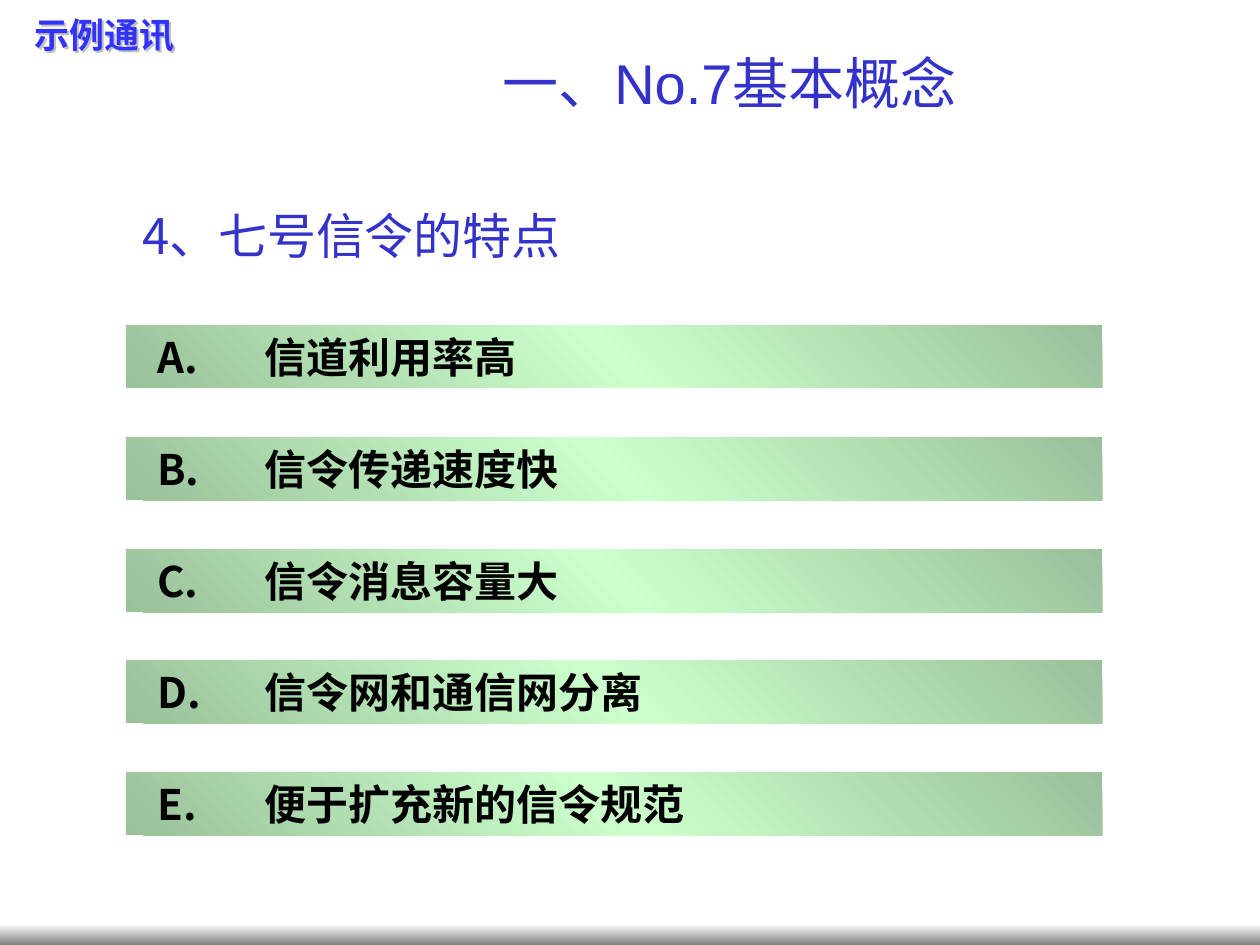
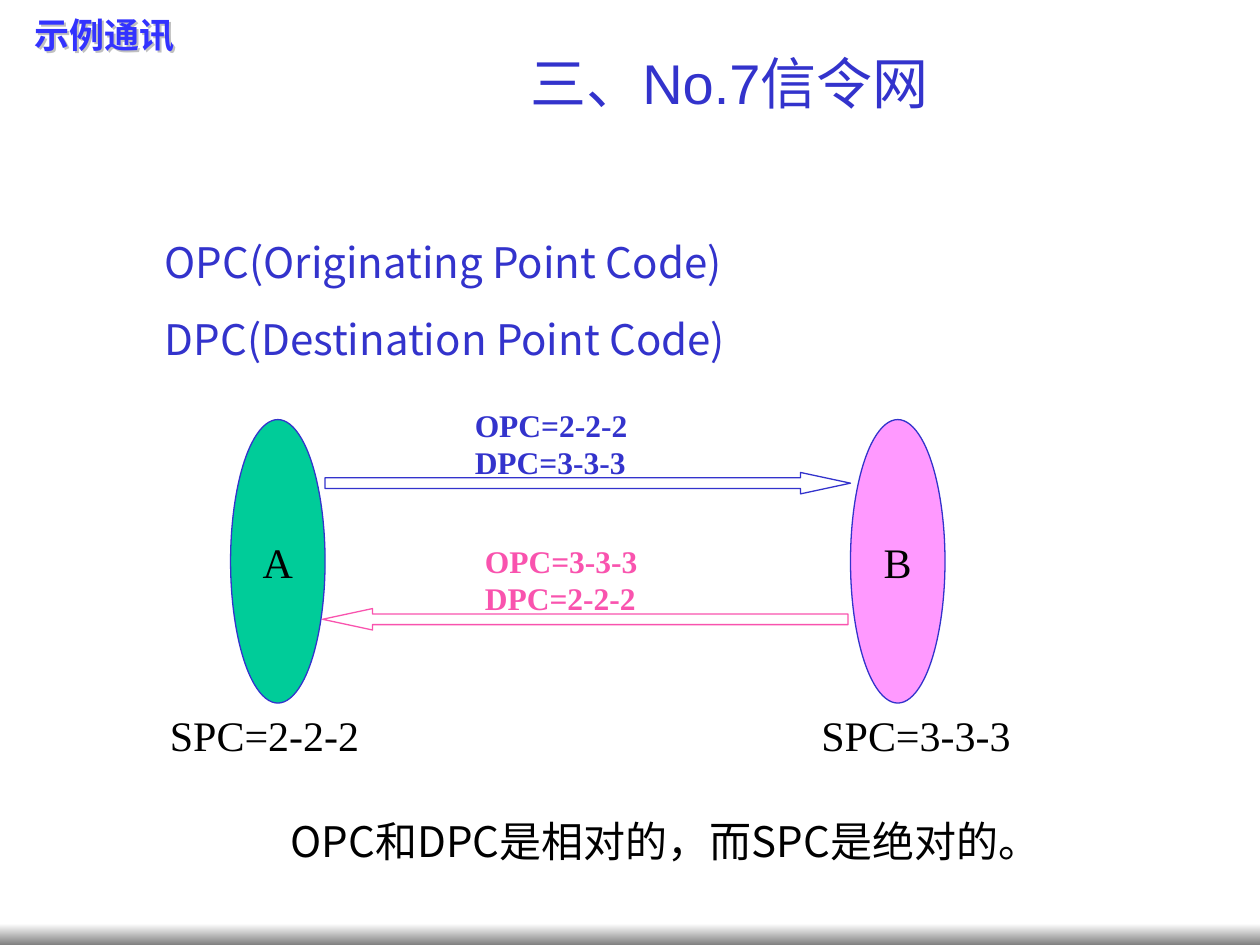
from lxml import etree
from pptx import Presentation, oxml, util as u
from pptx.dml.color import RGBColor
from pptx.enum import shapes, text
from pptx.oxml.ns import qn

PX = 9144  # 100 px to the inch
BLUE = RGBColor(0x33, 0x33, 0xCC)
BRAND = RGBColor(0x33, 0x33, 0xFF)
PINK = RGBColor(0xF9, 0x53, 0xAE)
ROSE = RGBColor(0xFF, 0x99, 0xFF)
TEAL = RGBColor(0x00, 0xCC, 0x99)
BLACK = RGBColor(0, 0, 0)
WHITE = RGBColor(0xFF, 0xFF, 0xFF)
GREY = RGBColor(0x80, 0x80, 0x80)
SILVER = RGBColor(0xC0, 0xC0, 0xC0)
SAGE = RGBColor(0x9A, 0xC1, 0x9A)
MINT = RGBColor(0xCC, 0xFF, 0xCC)
SANS, SERIF, ARIAL = "Noto Sans CJK SC", "Times New Roman", "Arial"
KIND = shapes.MSO_SHAPE
LEFT, MID = text.PP_ALIGN.LEFT, text.PP_ALIGN.CENTER
NS = "http://schemas.openxmlformats.org/drawingml/2006/main"


def emu(*box):
    return [u.Emu(n * PX) for n in box]


def write(shape, lines, size, face, color, bold=False, align=LEFT,
          gap=0, left=0, hang=0, wrap=True, mid=False):
    """Fill a shape with lines of one style."""
    frame = shape.text_frame
    frame.word_wrap = wrap
    anchor = text.MSO_ANCHOR
    frame.vertical_anchor = anchor.MIDDLE if mid else anchor.TOP
    for i, line in enumerate(lines):
        para = frame.paragraphs[0] if i == 0 else frame.add_paragraph()
        run = para.add_run()
        run.text = line
        para.alignment = align
        para.space_before = u.Pt(gap if i else 0)
        props = para._p.get_or_add_pPr()
        props.set("marL", str(left * PX))
        props.set("indent", str(-hang * PX))
        font = para.font
        font.size, font.name, font.bold = u.Pt(size), face, bold
        font.color.rgb = color
        # East Asian glyphs always use the sans face
        etree.SubElement(font._element, qn("a:ea")).set("typeface", SANS)


def label(slide, box, lines, *style, **more):
    shape = slide.shapes.add_textbox(*emu(*box))
    write(shape, lines, *style, **more)
    return shape


def draw(slide, kind, box, fill=None, line=None):
    shape = slide.shapes.add_shape(kind, *emu(*box))
    shape.shadow.inherit = False
    if fill is None:
        shape.fill.background()
    else:
        shape.fill.solid()
        shape.fill.fore_color.rgb = fill
    if line is None:
        shape.line.fill.background()
    else:
        shape.line.color.rgb = line
        shape.line.width = u.Pt(0.75)
    return shape


def blend(shape, colors, angle):
    """Give a shape evenly spaced gradient stops."""
    last = len(colors) - 1
    stops = "".join(
        f'<a:gs pos="{100000 * i // last}"><a:srgbClr val="{c}"/></a:gs>'
        for i, c in enumerate(colors))
    grad = oxml.parse_xml(
        f'<a:gradFill xmlns:a="{NS}" rotWithShape="1"><a:gsLst>{stops}'
        f'</a:gsLst><a:lin ang="{angle * 60000}" scaled="0"/></a:gradFill>')
    old = shape._element.spPr.find(qn("a:solidFill"))
    old.getparent().replace(old, grad)


def base(deck, title):
    """Start a slide with the bottom band, company name and title."""
    slide = deck.slides.add_slide(deck.slide_layouts[6])
    band = draw(slide, KIND.RECTANGLE, (0, 733, 1000, 17), WHITE)
    blend(band, [WHITE, GREY], 90)
    name = label(slide, (4, 6, 158, 44), ["示例通讯"], 20, SERIF, BRAND,
                 bold=True, align=MID)
    # With no fill, the box casts the shadow of its letters
    name._element.spPr.append(oxml.parse_xml(
        f'<a:effectLst xmlns:a="{NS}"><a:outerShdw dist="17961" dir="2700000">'
        f'<a:srgbClr val="{SILVER}"/></a:outerShdw></a:effectLst>'))
    label(slide, (200, 33, 758, 64), [title], 32, ARIAL, BLUE,
          align=MID, mid=True)
    return slide


def bars(slide, box, items):
    """Stack lettered bars evenly within the box."""
    x, y, w, h = box
    tall = 50
    step = (h - tall) / (len(items) - 1)
    for i, item in enumerate(items):
        bar = draw(slide, KIND.RECTANGLE, (x, y + round(i * step), w, tall),
                   SAGE)
        blend(bar, [SAGE, MINT, SAGE], 135)
        write(bar, [f"{'ABCDE'[i]}.\t{item}"], 24, SANS, BLACK, bold=True,
              left=100, hang=85, mid=True)


def node(slide, box, name, fill):
    oval = draw(slide, KIND.OVAL, box, fill, BLUE)
    write(oval, [name], 24, SERIF, BLACK, align=MID, wrap=False, mid=True)


def arrow(slide, box, color, turn=0):
    shape = draw(slide, KIND.RIGHT_ARROW, box, line=color)
    shape.adjustments[0], shape.adjustments[1] = 0.5, 2.33
    shape.rotation = turn


def link(slide, box):
    """Draw two signalling points and the messages between them."""
    x, y, w, h = box
    wide = 75
    node(slide, (x + w - wide, y, wide, h), "B", ROSE)
    node(slide, (x, y, wide, h), "A", TEAL)
    span = w - 2 * wide
    arrow(slide, (x + wide, y + 42, span, 17), BLUE)
    arrow(slide, (x + wide - 2, y + 150, span, 17), PINK, 180)
    # Point codes under the nodes
    for dx, code in ((-58, "2-2-2"), (459, "3-3-3")):
        label(slide, (x + dx, y + h, 192, 50), [f"SPC={code}"],
              24, SERIF, BLACK)
    # Codes carried by each message
    for dx, dy, src, dst, color in ((184, -16, "2-2-2", "3-3-3", BLUE),
                                    (192, 92, "3-3-3", "2-2-2", PINK)):
        label(slide, (x + dx, y + dy, 283, 70), [f"OPC={src}", f"DPC={dst}"],
              18, SERIF, color, bold=True)


def traits(deck):
    slide = base(deck, "一、No.7基本概念")
    label(slide, (103, 158, 420, 57), ["4、七号信令的特点"], 28, SANS, BLUE)
    bars(slide, (100, 258, 775, 405),
         ["信道利用率高", "信令传递速度快", "信令消息容量大",
          "信令网和通信网分离", "便于扩充新的信令规范"])


def codes(deck):
    slide = base(deck, "三、No.7信令网")
    label(slide, (58, 183, 717, 111),
          ["OPC(Originating Point Code)", "DPC(Destination Point Code)"],
          24, SANS, BLUE, gap=15, left=63)
    link(slide, (183, 333, 567, 225))
    label(slide, (158, 642, 660, 90), ["OPC和DPC是相对的，而SPC是绝对的。"],
          24, SANS, BLACK, left=63)


def main():
    deck = Presentation()
    deck.slide_width, deck.slide_height = emu(1000, 750)
    traits(deck)
    codes(deck)
    deck.save("out.pptx")


if __name__ == "__main__":
    main()
